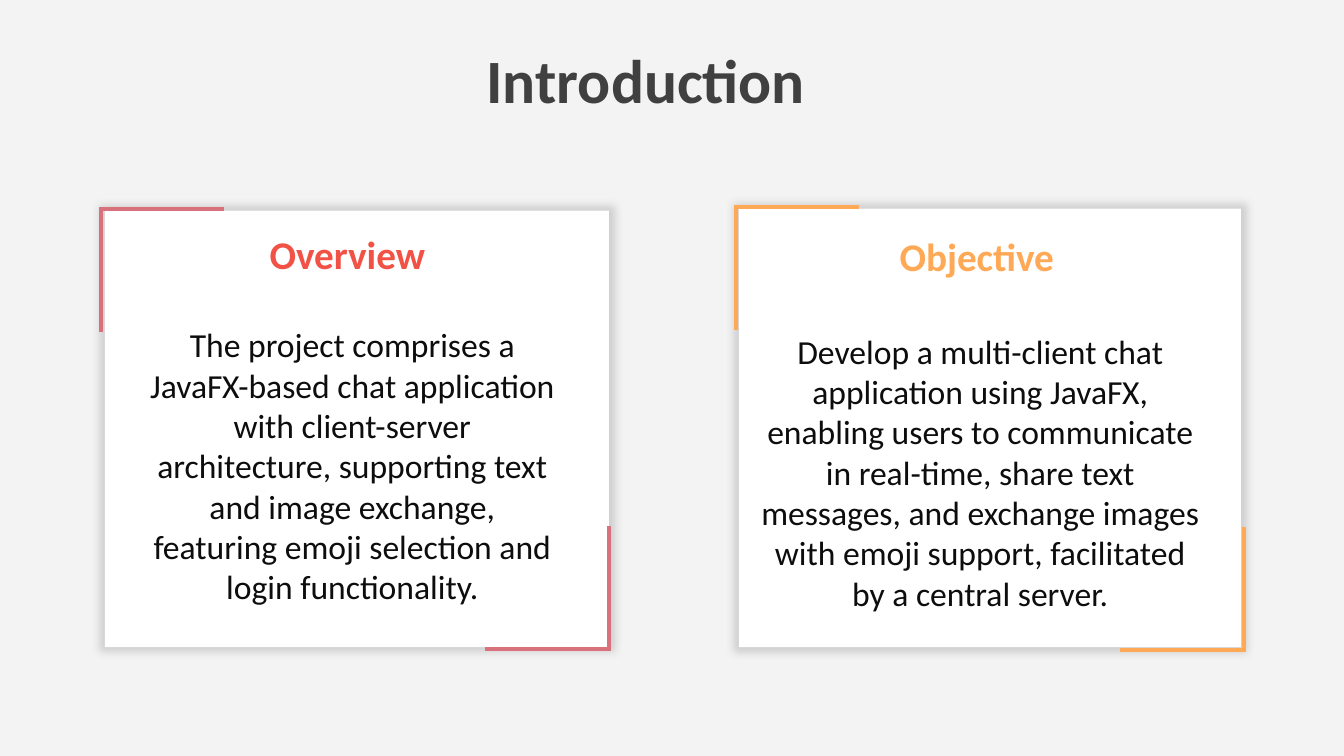
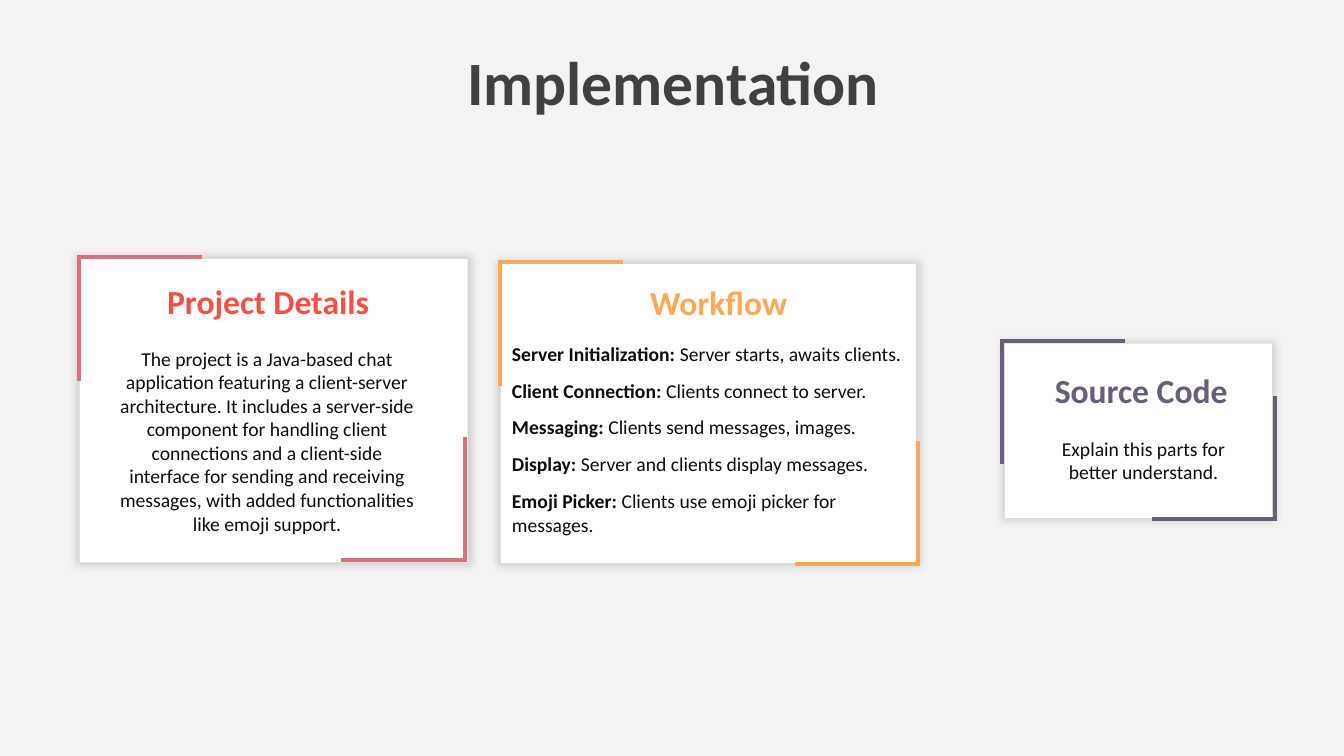
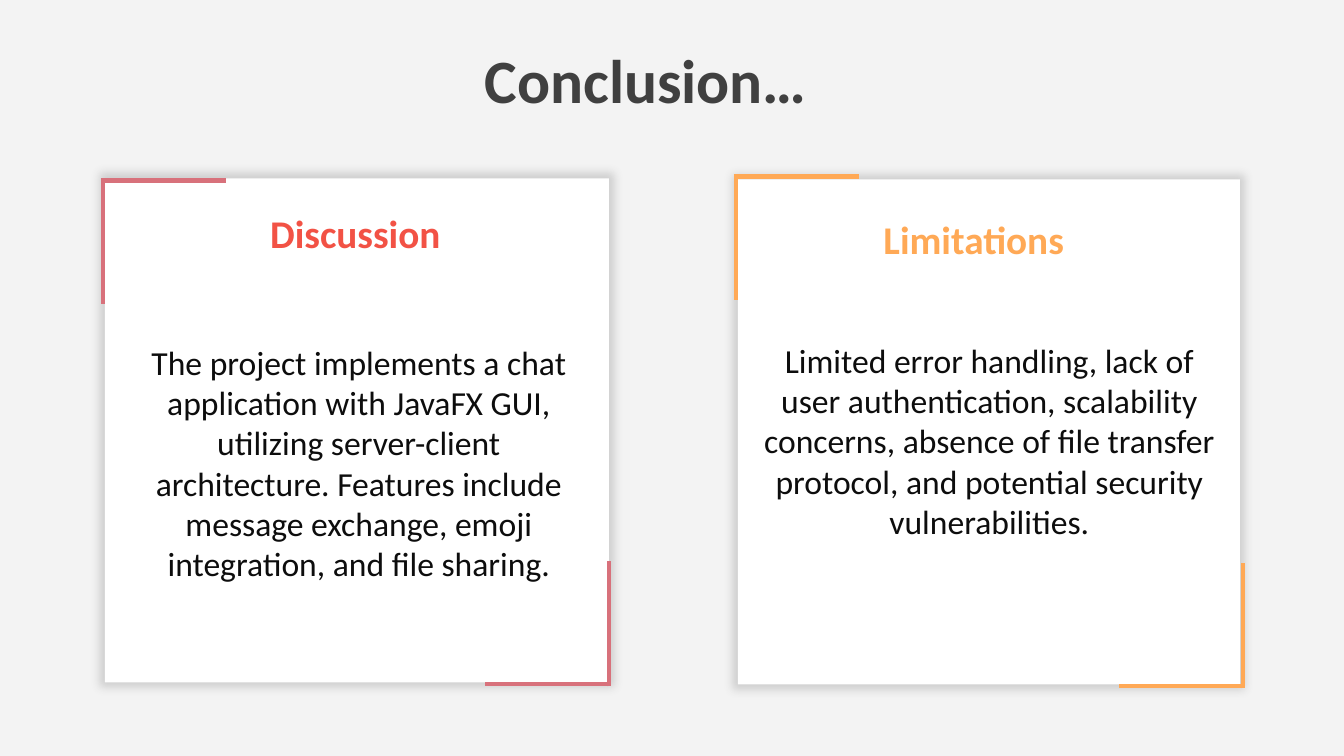
import dataclasses

import pptx
import pptx.dml.color
import pptx.enum.shapes
import pptx.enum.text
import pptx.oxml
import pptx.oxml.ns
import pptx.util

Pt = pptx.util.Pt
CENTER = pptx.enum.text.PP_ALIGN.CENTER
LEFT = pptx.enum.text.PP_ALIGN.LEFT


def rgb(code):
    return pptx.dml.color.RGBColor.from_string(code)


@dataclasses.dataclass(frozen=True)
class Theme:
    font: str = "Calibri"
    backdrop: str = "F3F3F3"
    panel: str = "FFFFFF"
    shadow: str = "404040"
    title: str = "404040"
    body: str = "0D0D0D"
    title_size: int = 44
    # (heading size, body size)
    wide_sizes: tuple = (28, 24)
    small_sizes: tuple = (24, 14)
    # (heading colour, corner colour)
    red: tuple = ("F25245", "D8717B")
    orange: tuple = ("FFA956", "FFA956")
    violet: tuple = ("695E78", "695E78")
    corner_length: float = 89.6
    corner_weight: float = 3
    paragraph_gap: float = 9.5


THEME = Theme()


class Builder:
    def __init__(self, theme):
        self.theme = theme
        self.deck = pptx.Presentation()
        self.deck.slide_width, self.deck.slide_height = Pt(960), Pt(540)
        self.page = None

    def add_page(self, title, left, top):
        self.page = self.deck.slides.add_slide(self.deck.slide_layouts[5])
        fill = self.page.background.fill
        fill.solid()
        fill.fore_color.rgb = rgb(self.theme.backdrop)
        box = self.page.shapes.title
        place = {"left": left, "top": top, "width": 345.6, "height": 60.5}
        for name, value in place.items():
            setattr(box, name, Pt(value))
        self.fill_text(box, [[(title, True)]], self.theme.title_size, self.theme.title)

    def fill_text(self, box, paragraphs, size, colour, align=CENTER):
        """Fill a box with paragraphs, each a list of (text, bold) spans."""
        frame = box.text_frame
        settings = {
            "word_wrap": True,
            "auto_size": pptx.enum.text.MSO_AUTO_SIZE.SHAPE_TO_FIT_TEXT,
            "vertical_anchor": pptx.enum.text.MSO_ANCHOR.TOP,
        }
        for name, value in settings.items():
            setattr(frame, name, value)
        for index, spans in enumerate(paragraphs):
            para = frame.add_paragraph() if index else frame.paragraphs[0]
            para.alignment = align
            if index:
                para.space_before = Pt(self.theme.paragraph_gap)
            for text, bold in spans:
                span = para.add_run()
                span.text = text
                formats = {"name": self.theme.font, "size": Pt(size), "bold": bold}
                for name, value in formats.items():
                    setattr(span.font, name, value)
                span.font.color.rgb = rgb(colour)

    def text(self, area, *args, **options):
        box = self.page.shapes.add_textbox(*map(Pt, area))
        self.fill_text(box, *args, **options)

    def panel(self, area):
        """White rectangle with a soft, slightly enlarged shadow."""
        shape = self.page.shapes.add_shape(
            pptx.enum.shapes.MSO_SHAPE.RECTANGLE, *map(Pt, area))
        shape.fill.solid()
        shape.fill.fore_color.rgb = rgb(self.theme.panel)
        shape.line.fill.background()
        shape.shadow.inherit = False
        effects = shape._element.spPr.find(pptx.oxml.ns.qn("a:effectLst"))
        effects.append(pptx.oxml.parse_xml(
            f'<a:outerShdw {pptx.oxml.ns.nsdecls("a")} blurRad="{Pt(6)}" dist="0" '
            'sx="102000" sy="102000" algn="ctr" rotWithShape="0">'
            f'<a:srgbClr val="{self.theme.shadow}"><a:alpha val="20000"/></a:srgbClr>'
            '</a:outerShdw>'))

    def line(self, start, end, colour):
        line = self.page.shapes.add_connector(
            pptx.enum.shapes.MSO_CONNECTOR.STRAIGHT, *map(Pt, start + end))
        line.line.color.rgb = rgb(colour)
        line.line.width = Pt(self.theme.corner_weight)
        line._element.spPr.append(pptx.oxml.parse_xml(
            f'<a:effectLst {pptx.oxml.ns.nsdecls("a")}/>'))

    def corners(self, edges, colour):
        """Mark the top-left and bottom-right corners of the outer edges."""
        left, top, right, bottom = edges
        for x, y, inward in ((left, top, 1), (right, bottom, -1)):
            inset = inward * self.theme.corner_weight / 2
            reach = inward * self.theme.corner_length
            self.line((x + inset, y), (x + inset, y + reach), colour)
            self.line((x, y + inset), (x + reach, y + inset), colour)

    def card(self, accent, sizes, panel, edges, heading, heading_area,
             body, body_area, align=CENTER):
        heading_colour, corner_colour = accent
        heading_size, body_size = sizes
        paragraphs = [[(body, False)]] if isinstance(body, str) else body
        self.panel(panel)
        self.text(body_area, paragraphs, body_size, self.theme.body, align=align)
        self.text(heading_area, [[(heading, True)]], heading_size, heading_colour)
        self.corners(edges, corner_colour)


WORKFLOW = [
    ("Server Initialization: ", "Server starts, awaits clients."),
    ("Client Connection: ", "Clients connect to server."),
    ("Messaging: ", "Clients send messages, images."),
    ("Display: ", "Server and clients display messages."),
    ("Emoji Picker: ", "Clients use emoji picker for messages."),
]


def introduction(builder):
    builder.add_page("Introduction", 288.7, 26.6)
    builder.card(
        THEME.red, THEME.wide_sizes,
        (74.9, 150.5, 360, 311.8), (70.6, 147.6, 436.3, 465.1),
        "Overview", (89.3, 161.3, 317.5, 41),
        "The project comprises a JavaFX-based chat application with client-server "
        "architecture, supporting text and image exchange, featuring emoji "
        "selection and login functionality.",
        (100.1, 228.2, 303.1, 211))
    builder.card(
        THEME.orange, THEME.wide_sizes,
        (527.8, 149, 358.6, 313.2), (524.2, 146.2, 889.9, 465.8),
        "Objective", (539.3, 162.7, 316.8, 41),
        "Develop a multi-client chat application using JavaFX, enabling users to "
        "communicate in real-time, share text messages, and exchange images with "
        "emoji support, facilitated by a central server.",
        (535.7, 232.6, 329, 211))


def implementation(builder):
    builder.add_page("Implementation", 308.2, 28.1)
    builder.card(
        THEME.red, THEME.small_sizes,
        (56.9, 185, 277.2, 216.7), (54.7, 182.2, 333.4, 401.8),
        "Project Details", (85.7, 197.3, 211.7, 36),
        "The project is a Java-based chat application featuring a client-server "
        "architecture. It includes a server-side component for handling client "
        "connections and a client-side interface for sending and receiving "
        "messages, with added functionalities like emoji support.",
        (78.5, 244.1, 224.6, 143.3))
    builder.card(
        THEME.orange, THEME.small_sizes,
        (357.8, 188.6, 296.6, 213.8), (355.7, 185.8, 657.4, 404.6),
        "Workflow", (374.4, 198, 277.9, 36),
        [[(step, True), (action, False)] for step, action in WORKFLOW],
        (358.6, 240.5, 295.2, 147.6), align=LEFT)
    builder.card(
        THEME.violet, THEME.small_sizes,
        (717.8, 245.5, 190.8, 124.6), (714.2, 241.9, 912.2, 372.2),
        "Source Code", (733, 260.6, 164.2, 36),
        "Explain this parts for better understand.",
        (734.4, 308.2, 164.9, 41))


def conclusion(builder):
    builder.add_page("Conclusion…", 288.7, 26.6)
    builder.card(
        THEME.red, THEME.wide_sizes,
        (74.9, 127.4, 360, 360), (72, 127.4, 436.3, 490.3),
        "Discussion", (95, 146.2, 317.5, 41),
        "The project implements a chat application with JavaFX GUI, utilizing "
        "server-client architecture. Features include message exchange, emoji "
        "integration, and file sharing.",
        (87.8, 240.5, 337, 182))
    builder.card(
        THEME.orange, THEME.wide_sizes,
        (527, 128.2, 358.6, 360.7), (524.2, 124.6, 889.2, 491.8),
        "Limitations", (537.1, 150.5, 316.8, 41),
        "Limited error handling, lack of user authentication, scalability "
        "concerns, absence of file transfer protocol, and potential security "
        "vulnerabilities.",
        (538.6, 239, 336.2, 152.6))


def main():
    builder = Builder(THEME)
    for build in (introduction, implementation, conclusion):
        build(builder)
    builder.deck.save("out.pptx")


if __name__ == "__main__":
    main()
